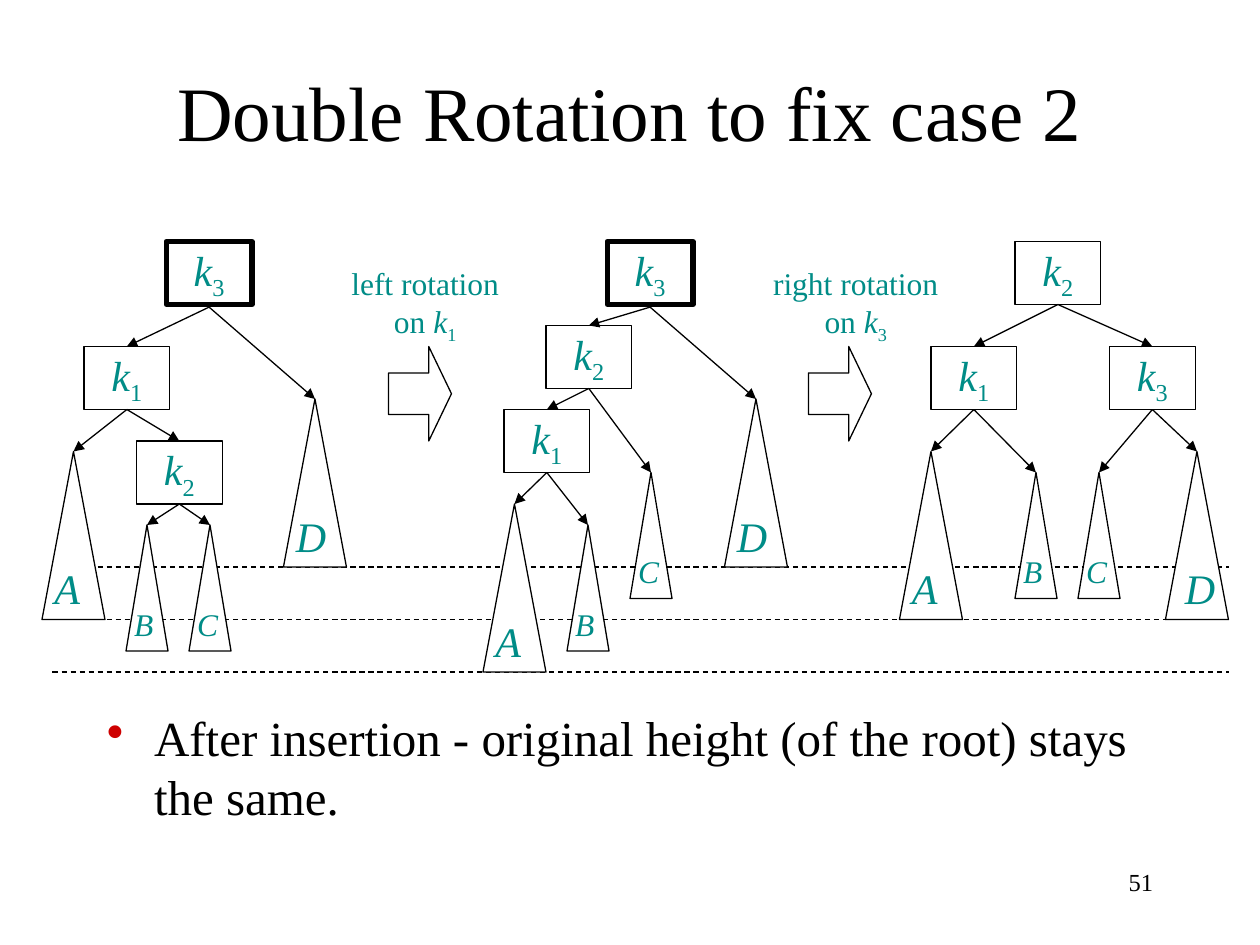
"""Build a slide showing an AVL double rotation as three tree states."""
import pptx
import pptx.dml.color
import pptx.enum.dml
import pptx.enum.shapes
import pptx.enum.text
import pptx.oxml.ns
import pptx.util
from lxml import etree

Pt = pptx.util.Pt
ALIGN = pptx.enum.text.PP_ALIGN
ANCHOR = pptx.enum.text.MSO_ANCHOR
SHAPE = pptx.enum.shapes.MSO_SHAPE

FONT = "Times New Roman"
BLACK, WHITE, TEAL, RED = "000000", "FFFFFF", "008C87", "CE0000"
NODE_WIDTH, NODE_HEIGHT = 49, 36
THIN, THICK = 0.75, 3

TITLE = "Double Rotation to fix case 2"
CONCLUSION = "After insertion - original height (of the root) stays the same."
PAGE_NUMBER = "51"
LEVELS = [324, 354, 384]
TREES = [
    {
        "nodes": {"3": (95, 138), "1": (48, 198), "2": (78, 252)},
        "leaves": {"A": (42, 258), "B": (84, 300), "C": (120, 300), "D": (180, 228)},
        "edges": ["31", "3D", "1A", "12", "2B", "2C"],
        "unbalanced": "3",
    },
    {
        "nodes": {"3": (347, 138), "2": (312, 186), "1": (288, 234)},
        "leaves": {"A": (294, 288), "B": (336, 300), "C": (372, 270), "D": (432, 228)},
        "edges": ["32", "3D", "21", "2C", "1A", "1B"],
        "unbalanced": "3",
    },
    {
        "nodes": {"2": (580, 138), "1": (532, 198), "3": (634, 198)},
        "leaves": {"A": (532, 258), "B": (592, 270), "C": (628, 270), "D": (684, 258)},
        "edges": ["21", "23", "1A", "1B", "3C", "3D"],
        "unbalanced": None,
        "label_shift": {"D": 4},
    },
]
BIG_LEAF = {"width": 36, "height": 96, "size": 24, "left": -18, "top": 60, "box_height": 36}
SMALL_LEAF = {"width": 24, "height": 72, "size": 18, "left": -14.4, "top": 42, "box_height": 29}
LEAF_STYLES = {"A": BIG_LEAF, "B": SMALL_LEAF, "C": SMALL_LEAF, "D": BIG_LEAF}
LABEL_WIDTHS = {"A": 29, "B": 25, "C": 26, "D": 32}
ROTATIONS = [
    {"text": "left rotation on ", "key": "1", "left": 186, "width": 114, "arrow": 222},
    {"text": "right rotation on ", "key": "3", "left": 426, "width": 126, "arrow": 462},
]


def color(value):
    return pptx.dml.color.RGBColor.from_string(value)


def format_run(run, size, tint, italic=False):
    run.font.name = FONT
    run.font.size = Pt(size)
    run.font.italic = italic
    run.font.color.rgb = color(tint)


def add_key(paragraph, key, size):
    for text, italic in (("k", True), (key, False)):
        run = paragraph.add_run()
        run.text = text
        format_run(run, size, TEAL, italic)
    run._r.get_or_add_rPr().set("baseline", "-25000")


def add_text(slide, box, text, size, tint, align=ALIGN.LEFT, anchor=ANCHOR.TOP,
             italic=False, wrap=True):
    shape = slide.shapes.add_textbox(*map(Pt, box))
    frame = shape.text_frame
    frame.text = text
    frame.word_wrap = wrap
    frame.vertical_anchor = anchor
    paragraph = frame.paragraphs[0]
    paragraph.alignment = align
    format_run(paragraph.runs[0], size, tint, italic)
    return paragraph


def outline(shape, fill=None, width=THIN):
    shape.shadow.inherit = False
    if fill:
        shape.fill.solid()
        shape.fill.fore_color.rgb = color(fill)
    else:
        shape.fill.background()
    shape.line.color.rgb = color(BLACK)
    shape.line.width = Pt(width)


def add_line(slide, start, end):
    line = slide.shapes.add_connector(
        pptx.enum.shapes.MSO_CONNECTOR.STRAIGHT, *map(Pt, (*start, *end)))
    line.line.color.rgb = color(BLACK)
    line.line.width = Pt(THIN)
    etree.SubElement(line._element.spPr, pptx.oxml.ns.qn("a:effectLst"))
    return line


def add_arrow(slide, start, end):
    line = add_line(slide, start, end).line
    etree.SubElement(line._get_or_add_ln(), pptx.oxml.ns.qn("a:tailEnd"), type="triangle")


def add_node(slide, key, position, width):
    shape = slide.shapes.add_shape(
        SHAPE.RECTANGLE, *map(Pt, (*position, NODE_WIDTH, NODE_HEIGHT)))
    outline(shape, width=width)
    frame = shape.text_frame
    frame.word_wrap = False
    frame.vertical_anchor = ANCHOR.MIDDLE
    frame.paragraphs[0].alignment = ALIGN.CENTER
    add_key(frame.paragraphs[0], key, 24)


def add_leaf(slide, letter, apex, shift):
    style = LEAF_STYLES[letter]
    x, y = apex
    half, bottom = style["width"] / 2, y + style["height"]
    builder = slide.shapes.build_freeform(Pt(x - half), Pt(bottom))
    builder.add_line_segments([(Pt(x + half), Pt(bottom)), (Pt(x), Pt(y))])
    outline(builder.convert_to_shape(), WHITE)
    box = (x + style["left"] + shift, y + style["top"], LABEL_WIDTHS[letter], style["box_height"])
    add_text(slide, box, letter, style["size"], TEAL, italic=True, wrap=False)


def add_tree(slide, tree):
    nodes, leaves = tree["nodes"], tree["leaves"]
    tops = {key: (x + NODE_WIDTH / 2, y) for key, (x, y) in nodes.items()} | leaves
    for letter, apex in leaves.items():
        add_leaf(slide, letter, apex, tree.get("label_shift", {}).get(letter, 0))
    for key, position in nodes.items():
        add_node(slide, key, position, THICK if key == tree["unbalanced"] else THIN)
    for parent, child in tree["edges"]:
        x, y = tops[parent]
        border = THICK / 2 if parent == tree["unbalanced"] else 0
        add_arrow(slide, (x, y + NODE_HEIGHT + border), tops[child])


def add_rotation(slide, rotation):
    box = (rotation["left"], 147.6, rotation["width"], 53.3)
    paragraph = add_text(slide, box, rotation["text"], 18, TEAL, ALIGN.CENTER)
    add_key(paragraph, rotation["key"], 18)
    arrow = slide.shapes.add_shape(
        SHAPE.RIGHT_ARROW, *map(Pt, (rotation["arrow"], 198, 36, 54)))
    arrow.adjustments[0], arrow.adjustments[1] = 0.44, 0.36
    outline(arrow, WHITE)


def add_bullet(paragraph):
    properties = paragraph._p.get_or_add_pPr()
    properties.set("marL", str(Pt(27)))
    properties.set("indent", str(Pt(-27)))
    bullet_color = etree.SubElement(properties, pptx.oxml.ns.qn("a:buClr"))
    etree.SubElement(bullet_color, pptx.oxml.ns.qn("a:srgbClr"), val=RED)
    etree.SubElement(properties, pptx.oxml.ns.qn("a:buChar"), char="•")


def main():
    presentation = pptx.Presentation()
    presentation.slide_width, presentation.slide_height = Pt(720), Pt(540)
    slide = presentation.slides.add_slide(presentation.slide_layouts[6])
    add_text(slide, (54, 18, 612, 90), TITLE, 44, BLACK, ALIGN.CENTER, ANCHOR.MIDDLE)
    add_bullet(add_text(slide, (54, 401, 612, 79), CONCLUSION, 28, BLACK))
    for level in LEVELS:
        line = add_line(slide, (30, level), (702, level))
        line.line.dash_style = pptx.enum.dml.MSO_LINE.DASH
    for tree in TREES:
        add_tree(slide, tree)
    for rotation in ROTATIONS:
        add_rotation(slide, rotation)
    add_text(slide, (516, 492, 150, 36), PAGE_NUMBER, 14, BLACK, ALIGN.RIGHT)
    presentation.save("out.pptx")


if __name__ == "__main__":
    main()
